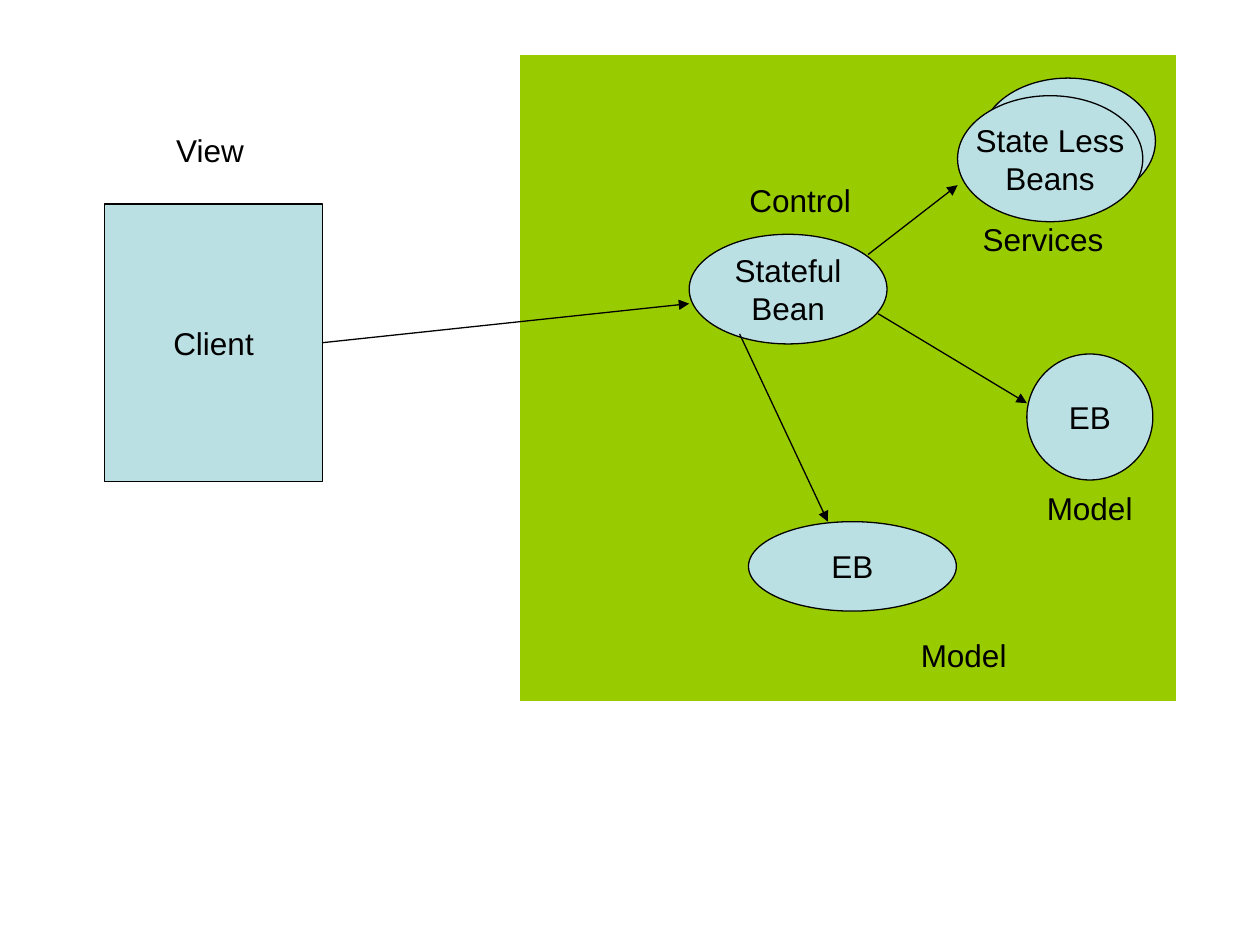
"""Build a slide of a client calling session and entity beans, in view, control and model roles."""
from lxml import etree
from pptx import Presentation
from pptx.dml.color import RGBColor
from pptx.enum import shapes, text
from pptx.oxml import ns
from pptx.util import Inches, Pt

BLACK = RGBColor(0x00, 0x00, 0x00)
PALE_BLUE = RGBColor(0xBB, 0xE0, 0xE3)
GREEN = RGBColor(0x99, 0xCC, 0x00)
RECTANGLE = shapes.MSO_SHAPE.RECTANGLE
OVAL = shapes.MSO_SHAPE.OVAL

NODES = [
    ("client", RECTANGLE, (0.83, 1.62, 1.73, 2.2), PALE_BLUE, BLACK, "Client"),
    ("server", RECTANGLE, (4.13, 0.44, 5.2, 5.12), GREEN, GREEN, ""),
    ("stateful", OVAL, (5.47, 1.86, 1.57, 0.87), PALE_BLUE, BLACK, "Stateful\nBean"),
    ("lower entity", OVAL, (5.94, 4.14, 1.65, 0.71), PALE_BLUE, BLACK, "EB"),
    ("right entity", OVAL, (8.15, 2.81, 1, 1), PALE_BLUE, BLACK, "EB"),
    ("stateless back", OVAL, (7.78, 0.62, 1.39, 1), PALE_BLUE, BLACK, ""),
    ("stateless", OVAL, (7.6, 0.76, 1.47, 1), PALE_BLUE, BLACK, "State Less\nBeans"),
]
LABELS = [
    ("View", (1.3, 0.99, 0.74, 0.4)),
    ("Control", (5.85, 1.39, 1.04, 0.4)),
    ("Services", (7.7, 1.7, 1.18, 0.4)),
    ("Model", (8.21, 3.83, 0.9, 0.4)),
    ("Model", (7.21, 5, 0.9, 0.4)),
]
CLIENT_CALL = (2.56, 2.72, 5.47, 2.41)
BEAN_CALLS = [
    (5.87, 2.65, 6.57, 4.14),
    (6.97, 2.49, 8.15, 3.2),
    (6.89, 2.02, 7.6, 1.47),
]


def inches(values):
    return [Inches(value) for value in values]


def write(box, words, align):
    frame = box.text_frame
    frame.text = words
    frame.word_wrap = False
    for para in frame.paragraphs:
        para.alignment = align
        for span in para.runs:
            span.font.name = "Arial"
            span.font.size = Pt(18)
            span.font.color.rgb = BLACK


def add_node(page, kind, place, fill, outline, words):
    node = page.shapes.add_shape(kind, *inches(place))
    node.shadow.inherit = False
    node.fill.solid()
    node.fill.fore_color.rgb = fill
    node.line.color.rgb = outline
    node.line.width = Pt(0.75)
    if words:
        node.text_frame.vertical_anchor = text.MSO_ANCHOR.MIDDLE
        write(node, words, text.PP_ALIGN.CENTER)
    return node


def add_label(page, words, place):
    label = page.shapes.add_textbox(*inches(place))
    write(label, words, text.PP_ALIGN.LEFT)
    label.text_frame.auto_size = text.MSO_AUTO_SIZE.SHAPE_TO_FIT_TEXT


def add_arrow(page, ends):
    arrow = page.shapes.add_connector(shapes.MSO_CONNECTOR.STRAIGHT, *inches(ends))
    arrow.line.color.rgb = BLACK
    arrow.line.width = Pt(0.75)
    etree.SubElement(arrow.line._get_or_add_ln(), ns.qn("a:tailEnd"), type="triangle")
    etree.SubElement(arrow._element.spPr, ns.qn("a:effectLst"))
    return arrow


def main():
    deck = Presentation()
    deck.slide_width, deck.slide_height = Inches(10), Inches(7.5)
    page = deck.slides.add_slide(deck.slide_layouts[6])
    nodes = {name: add_node(page, *details) for name, *details in NODES}
    for words, place in LABELS:
        add_label(page, words, place)
    add_arrow(page, CLIENT_CALL).begin_connect(nodes["client"], 3)
    for ends in BEAN_CALLS:
        add_arrow(page, ends)
    deck.save("out.pptx")


if __name__ == "__main__":
    main()
